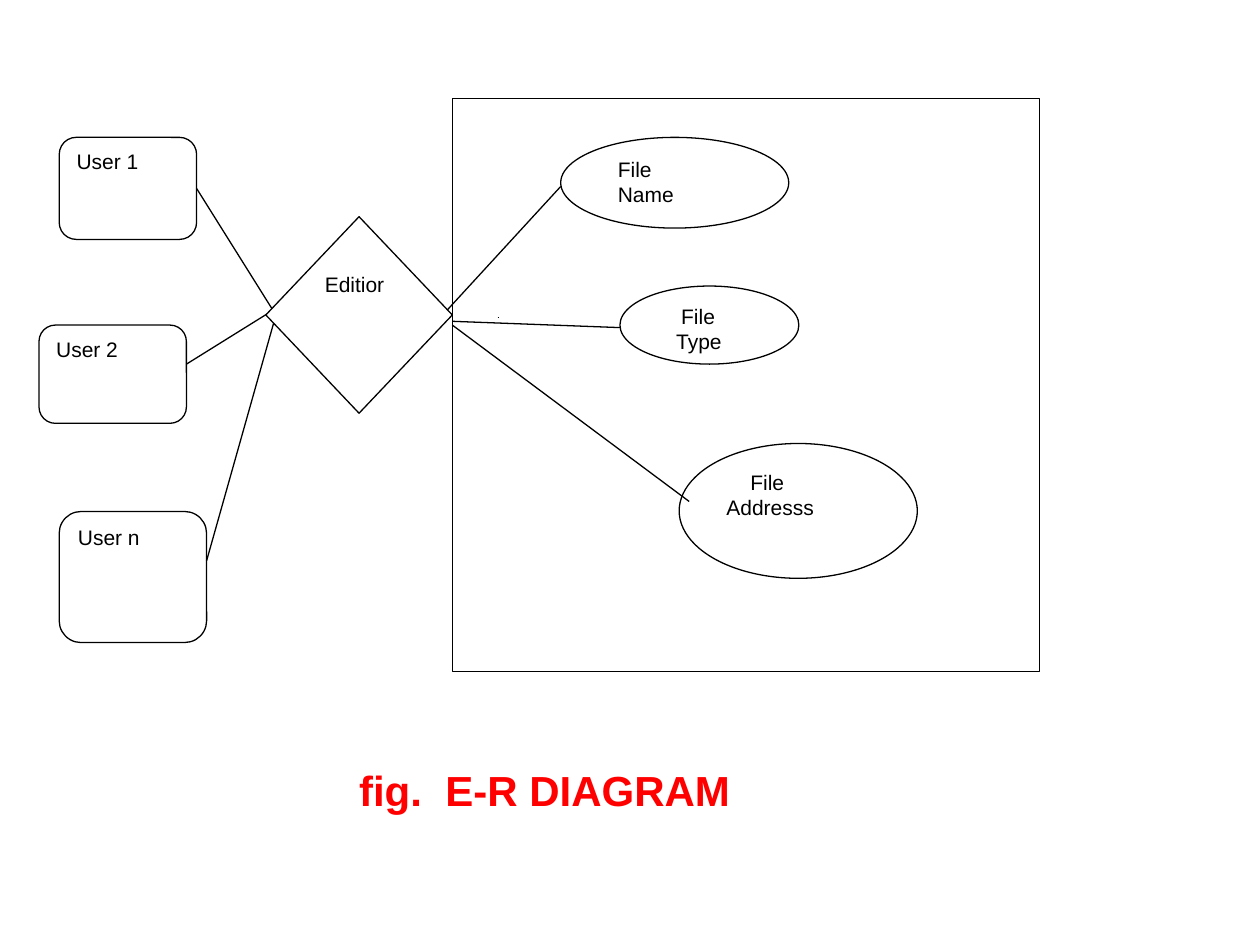
from lxml import etree
from pptx import Presentation
from pptx import util as u
from pptx.dml.color import RGBColor
from pptx.enum import shapes, text
from pptx.oxml.ns import qn

# The slide is a grid of 100 columns by 75 rows
COLS, ROWS = 100, 75
CELL = u.Inches(0.1)
FONT = "Arial"
BLACK, WHITE, RED = "000000", "FFFFFF", "FF0000"
KIND = shapes.MSO_SHAPE


def grid(*cells):
    return [round(cell * CELL) for cell in cells]


def color(code):
    return RGBColor.from_string(code)


def outline(element):
    element.line.color.rgb = color(BLACK)
    element.line.width = u.Pt(0.75)


def write(paragraph, words, size=12, ink=BLACK, bold=False, indent=0):
    """Add one left-aligned run; indent is in grid columns."""
    paragraph.alignment = text.PP_ALIGN.LEFT
    if indent:
        paragraph._p.get_or_add_pPr().set("indent", str(round(indent * CELL)))
    run = paragraph.add_run()
    run.text = words
    run.font.name, run.font.size, run.font.bold = FONT, u.Pt(size), bold
    run.font.color.rgb = color(ink)


def add_node(slide, kind, place, lines=()):
    """Draw an outlined shape holding (words, indent) lines from its top."""
    node = slide.shapes.add_shape(kind, *grid(*place))
    node.shadow.inherit = False
    node.fill.solid()
    node.fill.fore_color.rgb = color(WHITE)
    outline(node)
    frame = node.text_frame
    frame.word_wrap = True
    frame.vertical_anchor = text.MSO_ANCHOR.TOP
    for number, (words, indent) in enumerate(lines):
        paragraph = frame.add_paragraph() if number else frame.paragraphs[0]
        write(paragraph, words, indent=indent)
    return node


def add_link(slide, start, end):
    link = slide.shapes.add_connector(
        shapes.MSO_CONNECTOR.STRAIGHT, *grid(*start, *end))
    outline(link)
    etree.SubElement(link._element.spPr, qn("a:effectLst"))
    return link


def add_caption(slide, place, words):
    caption = slide.shapes.title
    caption.left, caption.top, caption.width, caption.height = grid(*place)
    frame = caption.text_frame
    frame.auto_size = text.MSO_AUTO_SIZE.NONE
    frame.vertical_anchor = text.MSO_ANCHOR.TOP
    write(frame.paragraphs[0], words, 24, RED, bold=True, indent=0.9)


def main():
    deck = Presentation()
    deck.slide_width, deck.slide_height = grid(COLS, ROWS)
    slide = deck.slides.add_slide(deck.slide_layouts[5])

    # Frame around the file attributes
    add_node(slide, KIND.RECTANGLE, (35.9, 7.8, 46.6, 45.5))

    # Users
    users = [
        ("User 1", (4.7, 10.9, 10.9, 8.1)),
        ("User 2", (3.1, 25.8, 11.7, 7.8)),
        ("User n", (4.7, 40.6, 11.7, 10.4)),
    ]
    first_user, *_ = [add_node(slide, KIND.ROUNDED_RECTANGLE, place, [(name, 0)])
                      for name, place in users]

    # Links from the users to the editor
    editor_left = (21.9, 25)
    add_link(slide, (15.6, 14.8), editor_left).begin_connect(first_user, 3)
    add_link(slide, (14.8, 28.9), (25.4, 22.3))
    add_link(slide, (16.4, 44.5), editor_left)

    # File attributes
    attributes = [
        ((44.5, 10.9, 18.1, 7.2), [("File", 0.9), ("Name", 0.9)]),
        ((49.2, 22.7, 14.2, 6.2), [("File", 1.8), ("Type", 1.4)]),
        ((53.9, 35.2, 18.9, 10.7), [("File Addresss", 1.9)]),
    ]
    for place, lines in attributes:
        add_node(slide, KIND.OVAL, place, lines)

    # Links from the editor to the attributes, and a small dot
    for start, end in [
        ((34.4, 25.8), (44.5, 14.8)),
        ((35.9, 25.5), (49.2, 26)),
        ((35.9, 25.8), (54.7, 39.8)),
        ((39.5, 25.2), (39.6, 25.2)),
    ]:
        add_link(slide, start, end)

    # Editor, on top of the link ends
    add_node(slide, KIND.FLOWCHART_DECISION, (21.1, 17.2, 14.8, 15.6),
             [("Editior", 0)])

    add_caption(slide, (26.6, 60.2, 41.4, 5), "fig.  E-R DIAGRAM")
    deck.save("out.pptx")


if __name__ == "__main__":
    main()
